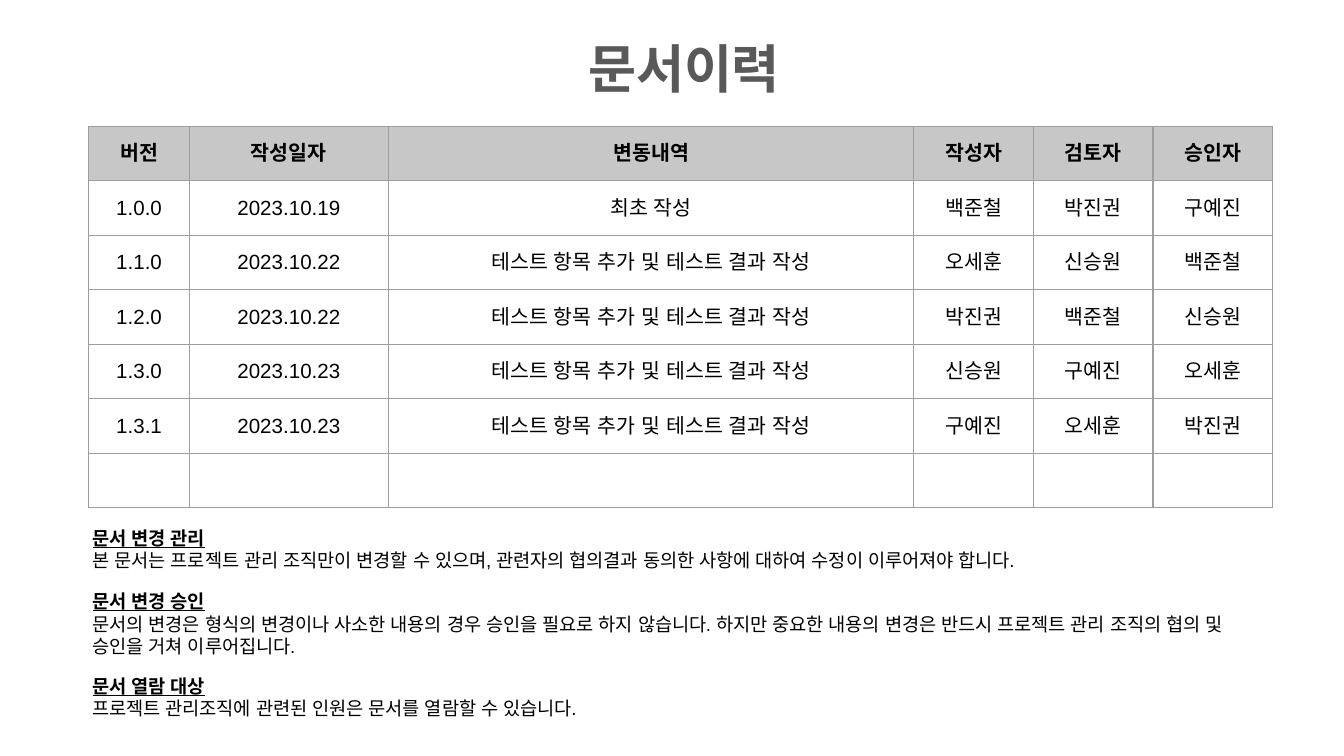
from dataclasses import dataclass

from lxml import etree
from pptx import Presentation
from pptx.dml.color import RGBColor
from pptx.enum.lang import MSO_LANGUAGE_ID
from pptx.enum.text import MSO_ANCHOR, MSO_AUTO_SIZE, PP_ALIGN
from pptx.oxml.ns import qn
from pptx.util import Inches, Pt

CENTER, LEFT = PP_ALIGN.CENTER, PP_ALIGN.LEFT
TOP, MIDDLE = MSO_ANCHOR.TOP, MSO_ANCHOR.MIDDLE
FIXED, GROW = MSO_AUTO_SIZE.NONE, MSO_AUTO_SIZE.SHAPE_TO_FIT_TEXT
KOREAN = MSO_LANGUAGE_ID.KOREAN
TITLE_ONLY = 5
PAGE_WIDTH = 10


@dataclass(frozen=True)
class Theme:
    font: str = "Arial"
    title_color: str = "595959"
    text_color: str = "000000"
    header_fill: str = "C7C7C7"
    border_color: str = "9E9E9E"
    border_width: float = 0.75
    title_size: int = 28
    table_size: int = 11
    note_size: int = 10


HEADERS = ["버전", "작성일자", "변동내역", "작성자", "검토자", "승인자"]
UPDATE = "테스트 항목 추가 및 테스트 결과 작성"
REVISIONS = [
    ["1.0.0", "2023.10.19", "최초 작성", "백준철", "박진권", "구예진"],
    ["1.1.0", "2023.10.22", UPDATE, "오세훈", "신승원", "백준철"],
    ["1.2.0", "2023.10.22", UPDATE, "박진권", "백준철", "신승원"],
    ["1.3.0", "2023.10.23", UPDATE, "신승원", "구예진", "오세훈"],
    ["1.3.1", "2023.10.23", UPDATE, "구예진", "오세훈", "박진권"],
    [""] * len(HEADERS),
]
COLUMN_WIDTHS = [0.75, 1.48, 3.91, 0.89, 0.89, 0.89]
TABLE_HEIGHT = 2.84

# top, height, heading, body
NOTES = [
    (3.87, 0.44, "문서 변경 관리",
     "본 문서는 프로젝트 관리 조직만이 변경할 수 있으며, 관련자의 협의결과 동의한 "
     "사항에 대하여 수정이 이루어져야 합니다."),
    (4.34, 0.61, "문서 변경 승인",
     "문서의 변경은 형식의 변경이나 사소한 내용의 경우 승인을 필요로 하지 않습니다. "
     "하지만 중요한 내용의 변경은 반드시 프로젝트 관리 조직의 협의 및 승인을 거쳐 "
     "이루어집니다."),
    (4.97, 0.45, "문서 열람 대상",
     "프로젝트 관리조직에 관련된 인원은 문서를 열람할 수 있습니다."),
]


class PageBuilder:
    def __init__(self, page, theme):
        self.page = page
        self.theme = theme

    def add_span(self, para, text, size, color, bold=False, underline=False):
        """Add a run whose East Asian text, spaces included, uses the theme font too."""
        span = para.add_run()
        span.text = text
        formats = {"name": self.theme.font, "size": Pt(size), "bold": bold,
                   "underline": underline, "language_id": KOREAN}
        for name, value in formats.items():
            setattr(span.font, name, value)
        span.font.color.rgb = RGBColor.from_string(color)
        properties = span._r.get_or_add_rPr()
        for script in ("a:ea", "a:cs"):
            etree.SubElement(properties, qn(script), typeface=self.theme.font)

    def set_frame(self, frame, margin_y, anchor, auto_size):
        formats = {"margin_left": Inches(0.1), "margin_right": Inches(0.1),
                   "margin_top": Inches(margin_y), "margin_bottom": Inches(margin_y),
                   "vertical_anchor": anchor, "word_wrap": True,
                   "auto_size": auto_size}
        for name, value in formats.items():
            setattr(frame, name, value)

    def add_title(self, text, left, top, width, height):
        title = self.page.shapes.title
        title.left, title.top = Inches(left), Inches(top)
        title.width, title.height = Inches(width), Inches(height)
        self.set_frame(title.text_frame, 0.1, TOP, FIXED)
        para = title.text_frame.paragraphs[0]
        para.alignment = CENTER
        self.add_span(para, text, self.theme.title_size, self.theme.title_color, bold=True)

    def add_borders(self, cell):
        """Draw all four cell edges; call before the fill is set, as the schema orders them."""
        properties = cell._tc.get_or_add_tcPr()
        for edge in ("a:lnL", "a:lnR", "a:lnT", "a:lnB"):
            line = etree.SubElement(properties, qn(edge), w=str(Pt(self.theme.border_width)))
            fill = etree.SubElement(line, qn("a:solidFill"))
            etree.SubElement(fill, qn("a:srgbClr"), val=self.theme.border_color)

    def fill_cell(self, cell, text, is_header):
        self.add_borders(cell)
        if is_header:
            cell.fill.solid()
            cell.fill.fore_color.rgb = RGBColor.from_string(self.theme.header_fill)
        else:
            cell.fill.background()
        cell.vertical_anchor = MIDDLE
        para = cell.text_frame.paragraphs[0]
        para.alignment = CENTER
        if text:
            self.add_span(para, text, self.theme.table_size, self.theme.text_color,
                          bold=is_header)

    def add_table(self, rows, column_widths, left, top, height):
        frame = self.page.shapes.add_table(
            len(rows), len(column_widths), Inches(left), Inches(top),
            Inches(sum(column_widths)), Inches(height))
        table = frame.table
        table.first_row = table.horz_banding = False
        for column, width in zip(table.columns, column_widths):
            column.width = Inches(width)
        for row_index, texts in enumerate(rows):
            table.rows[row_index].height = Inches(height / len(rows))
            for column_index, text in enumerate(texts):
                self.fill_cell(table.cell(row_index, column_index), text, row_index == 0)

    def add_note(self, heading, body, left, top, width, height):
        box = self.page.shapes.add_textbox(
            Inches(left), Inches(top), Inches(width), Inches(height))
        self.set_frame(box.text_frame, 0.05, TOP, GROW)
        para = box.text_frame.paragraphs[0]
        para.alignment = LEFT
        size, color = self.theme.note_size, self.theme.text_color
        self.add_span(para, heading, size, color, bold=True, underline=True)
        para.add_line_break()
        self.add_span(para, body, size, color)


def main():
    deck = Presentation()
    deck.slide_width, deck.slide_height = Inches(PAGE_WIDTH), Inches(PAGE_WIDTH * 9 / 16)
    page = deck.slides.add_slide(deck.slide_layouts[TITLE_ONLY])
    builder = PageBuilder(page, Theme())
    builder.add_title("문서이력", 0.43, 0.17, 9.32, 0.87)
    builder.add_table([HEADERS] + REVISIONS, COLUMN_WIDTHS, 0.66, 0.94, TABLE_HEIGHT)
    for top, height, heading, body in NOTES:
        builder.add_note(heading, body, 0.59, top, 8.88, height)
    deck.save("out.pptx")


if __name__ == "__main__":
    main()
